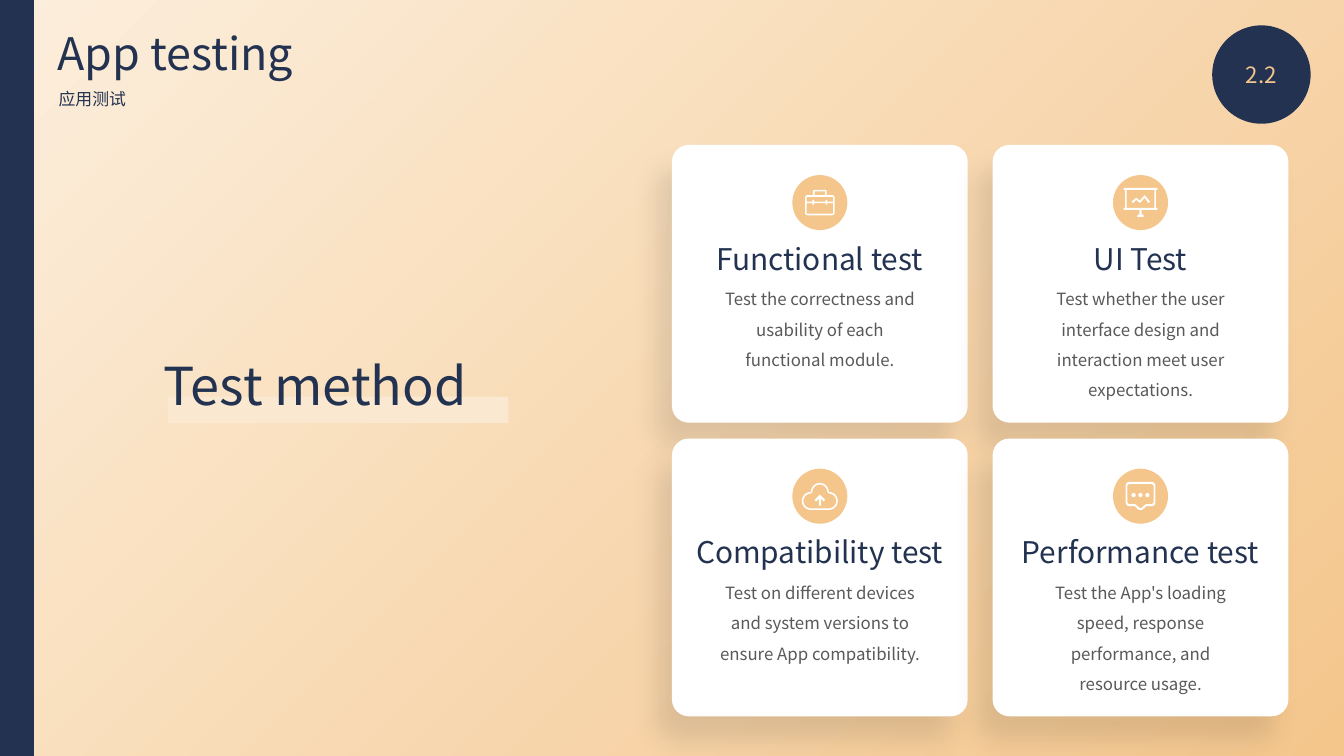
import math

import lxml.etree
import pptx
import pptx.dml.color
import pptx.enum.shapes
import pptx.enum.text
import pptx.oxml.ns
import pptx.util

Cm = pptx.util.Cm
Pt = pptx.util.Pt
qn = pptx.oxml.ns.qn
SHAPE = pptx.enum.shapes.MSO_SHAPE
ALIGN = pptx.enum.text.PP_ALIGN

FONT = "Noto Sans CJK SC"
COLORS = {
    "navy": "223250", "amber": "F4C68C", "cream": "FCEEDC",
    "highlight": "FBE8D1", "white": "FFFFFF", "gray": "595959",
}
CARDS = [
    ("Functional test", "Test the correctness and usability of each functional module.", "briefcase"),
    ("UI Test", "Test whether the user interface design and interaction meet user expectations.", "board"),
    ("Compatibility test", "Test on different devices and system versions to ensure App compatibility.", "cloud"),
    ("Performance test", "Test the App's loading speed, response performance, and resource usage.", "chat"),
]
# Card grid, in centimetres
GRID_LEFT, GRID_TOP = 12.7, 2.74
CARD_WIDTH, CARD_HEIGHT = 5.59, 5.25
PITCH_X, PITCH_Y = 6.06, 5.55
BADGE_TOP, BADGE_SIZE = 0.57, 1.04
HEADING_TOP, BODY_TOP, BODY_MARGIN = 1.68, 2.41, 0.6


def arc(x, y, radius, start, end, steps=12):
    """Points on an arc, clockwise on screen, angles in degrees."""
    angles = [math.radians(start + (end - start) * i / steps) for i in range(steps + 1)]
    return [(x + radius * math.cos(a), y + radius * math.sin(a)) for a in angles]


def rounded(left, top, right, bottom, radius, bottom_points=()):
    """Rounded rectangle; bottom_points run from right to left on its lower side."""
    r = radius
    return (arc(left + r, top + r, r, 180, 270) + arc(right - r, top + r, r, 270, 360)
            + arc(right - r, bottom - r, r, 0, 90) + list(bottom_points)
            + arc(left + r, bottom - r, r, 90, 180))


def mirrored(right_half):
    return right_half + [(-x, y) for x, y in reversed(right_half)]


def cloud_outline(radius):
    return (arc(-0.17, 0.09, radius, 90, 270) + arc(0, -0.08, radius, 180, 360)
            + arc(0.17, 0.09, radius, -90, 90))


# Each icon is a list of shapes, each shape a list of contours around the badge centre
ICONS = {
    "briefcase": [[
        rounded(-0.28, -0.14, 0.28, 0.24, 0.05),
        mirrored([(0.25, -0.11), (0.25, -0.02), (0.14, -0.02), (0.14, -0.05), (0.11, -0.05), (0.11, -0.02)]),
        mirrored([(0.11, 0.01), (0.11, 0.04), (0.14, 0.04), (0.14, 0.01), (0.25, 0.01), (0.25, 0.21)]),
        mirrored([(0.1, -0.14), (0.1, -0.21)])
        + mirrored([(0.13, -0.14), (0.13, -0.22), (0.11, -0.24)])[::-1],
    ]],
    "board": [
        [[(0.08, -0.14), (-0.01, -0.04), (-0.08, -0.09), (-0.17, -0.02), (-0.14, 0.01),
          (-0.08, -0.05), (-0.01, 0.01), (0.08, -0.09), (0.15, 0.01), (0.18, -0.02)]],
        [mirrored([(0.32, -0.28), (0.32, -0.24), (0.29, -0.24), (0.29, 0.1), (0.32, 0.1), (0.32, 0.14),
                   (0.02, 0.14), (0.02, 0.23), (0.06, 0.23), (0.06, 0.27)]),
         mirrored([(0.26, -0.24), (0.26, 0.1)])],
    ],
    "cloud": [
        [mirrored([(0, -0.03), (0.1, 0.07), (0.07, 0.1), (0.02, 0.05), (0.02, 0.18)])],
        [cloud_outline(0.17), cloud_outline(0.14)],
    ],
    "chat": [[
        rounded(-0.28, -0.27, 0.28, 0.19, 0.07, mirrored([(0.11, 0.19), (0.03, 0.26)])),
        rounded(-0.25, -0.23, 0.25, 0.15, 0.05, mirrored([(0.1, 0.15), (0.02, 0.22)])),
        *[arc(x, -0.02, 0.04, 0, 360) for x in (-0.13, 0, 0.13)],
    ]],
}


def rgb(name):
    return pptx.dml.color.RGBColor.from_string(COLORS[name])


def paint(shape, color):
    shape.shadow.inherit = False
    shape.fill.solid()
    shape.fill.fore_color.rgb = rgb(color)
    shape.line.fill.background()


def add_block(slide, kind, left, top, width, height, color):
    shape = slide.shapes.add_shape(kind, Cm(left), Cm(top), Cm(width), Cm(height))
    paint(shape, color)
    return shape


def add_text(slide, text, left, top, width, height, size, color,
             align=ALIGN.LEFT, wrap=True, spacing=None):
    frame = slide.shapes.add_textbox(Cm(left), Cm(top), Cm(width), Cm(height)).text_frame
    frame.word_wrap = wrap
    paragraph = frame.paragraphs[0]
    paragraph.text = text
    paragraph.alignment = align
    if spacing:
        paragraph.line_spacing = spacing
    paragraph.font.size = Pt(size)
    paragraph.font.name = FONT
    paragraph.font.color.rgb = rgb(color)
    properties = paragraph._p.pPr.find(qn("a:defRPr"))
    lxml.etree.SubElement(properties, qn("a:ea"), typeface=FONT)


def add_soft_shadow(shape):
    effects = shape._element.spPr.find(qn("a:effectLst"))
    shadow = lxml.etree.SubElement(
        effects, qn("a:outerShdw"), blurRad=str(Pt(14)), dist=str(Pt(15)),
        dir=str(123 * 60000), algn="ctr", rotWithShape="0")
    color = lxml.etree.SubElement(shadow, qn("a:srgbClr"), val="000000")
    lxml.etree.SubElement(color, qn("a:alpha"), val="10000")


def add_icon(slide, name, center_x, center_y):
    for contours in ICONS[name]:
        placed = [[(Cm(center_x + x), Cm(center_y + y)) for x, y in contour] for contour in contours]
        builder = slide.shapes.build_freeform(*placed[0][0])
        for index, points in enumerate(placed):
            if index:
                builder.move_to(*points[0])
            builder.add_line_segments(points[1:], close=True)
        paint(builder.convert_to_shape(), "white")


def add_card(slide, left, top, heading, body, icon):
    card = add_block(slide, SHAPE.ROUNDED_RECTANGLE, left, top, CARD_WIDTH, CARD_HEIGHT, "white")
    card.adjustments[0] = 0.06
    add_soft_shadow(card)
    add_text(slide, body, left + BODY_MARGIN, top + BODY_TOP, CARD_WIDTH - 2 * BODY_MARGIN, 2.57,
             9, "gray", ALIGN.CENTER, spacing=1.5)
    add_text(slide, heading, left, top + HEADING_TOP, CARD_WIDTH, 0.94, 16, "navy",
             ALIGN.CENTER, wrap=False)
    center_x = left + CARD_WIDTH / 2
    add_block(slide, SHAPE.OVAL, center_x - BADGE_SIZE / 2, top + BADGE_TOP,
              BADGE_SIZE, BADGE_SIZE, "amber")
    add_icon(slide, icon, center_x, top + BADGE_TOP + BADGE_SIZE / 2)


def main():
    presentation = pptx.Presentation()
    presentation.slide_width, presentation.slide_height = Cm(25.4), Cm(14.29)
    slide = presentation.slides.add_slide(presentation.slide_layouts[6])

    background = slide.background.fill
    background.gradient()
    background.gradient_angle = 135
    for stop, position, color in zip(background.gradient_stops, (0, 1), ("amber", "cream")):
        stop.position = position
        stop.color.rgb = rgb(color)

    add_block(slide, SHAPE.RECTANGLE, 0, 0, 0.64, 14.29, "navy")
    add_block(slide, SHAPE.OVAL, 22.91, 0.48, 1.86, 1.86, "navy")
    add_text(slide, "2.2", 22.89, 1.04, 1.9, 0.77, 12, "amber", ALIGN.CENTER)

    for index, (heading, body, icon) in enumerate(CARDS):
        row, column = divmod(index, 2)
        add_card(slide, GRID_LEFT + column * PITCH_X, GRID_TOP + row * PITCH_Y, heading, body, icon)

    add_block(slide, SHAPE.RECTANGLE, 3.18, 7.5, 6.43, 0.5, "highlight")
    add_text(slide, "Test method", 2.84, 6.55, 9.07, 1.45, 28, "navy")
    add_text(slide, "App testing", 0.84, 0.36, 21.26, 1.27, 24, "navy")
    add_text(slide, "应用测试", 0.86, 1.55, 5, 0.46, 9, "navy", ALIGN.JUSTIFY)
    presentation.save("out.pptx")


if __name__ == "__main__":
    main()
